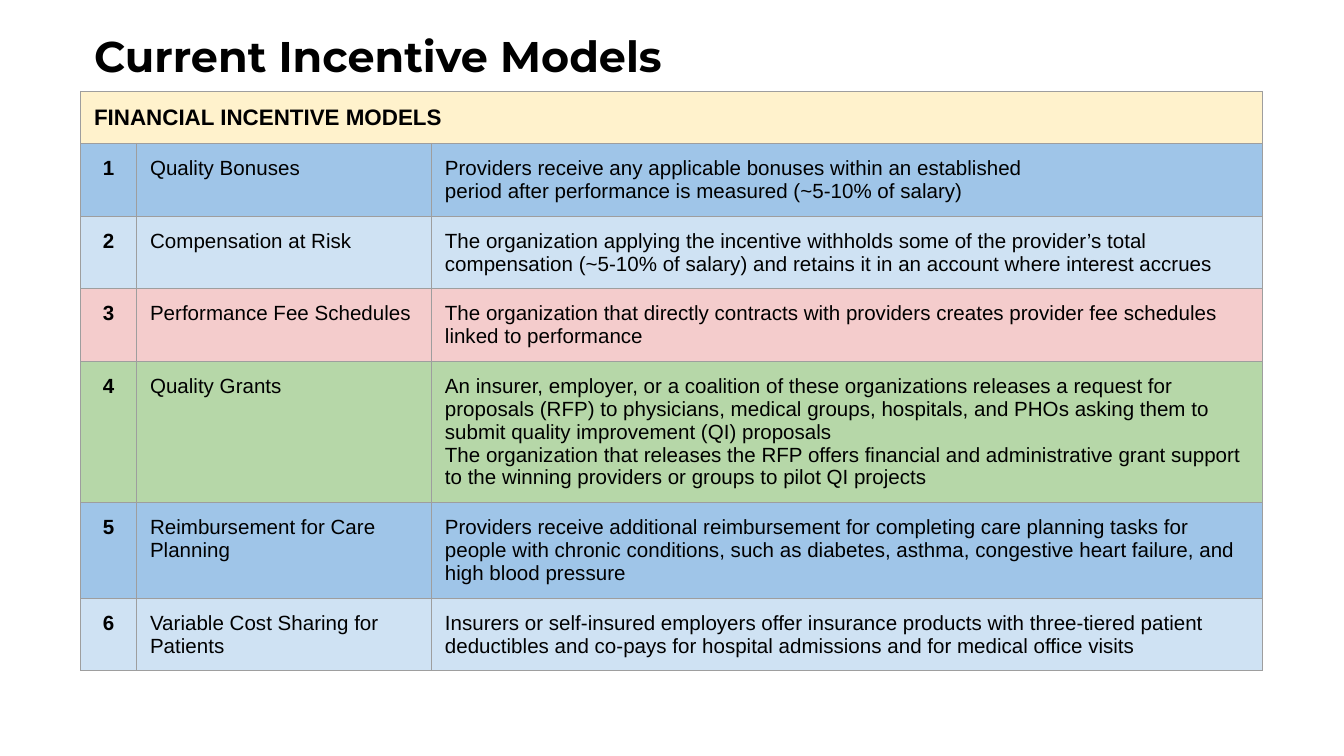
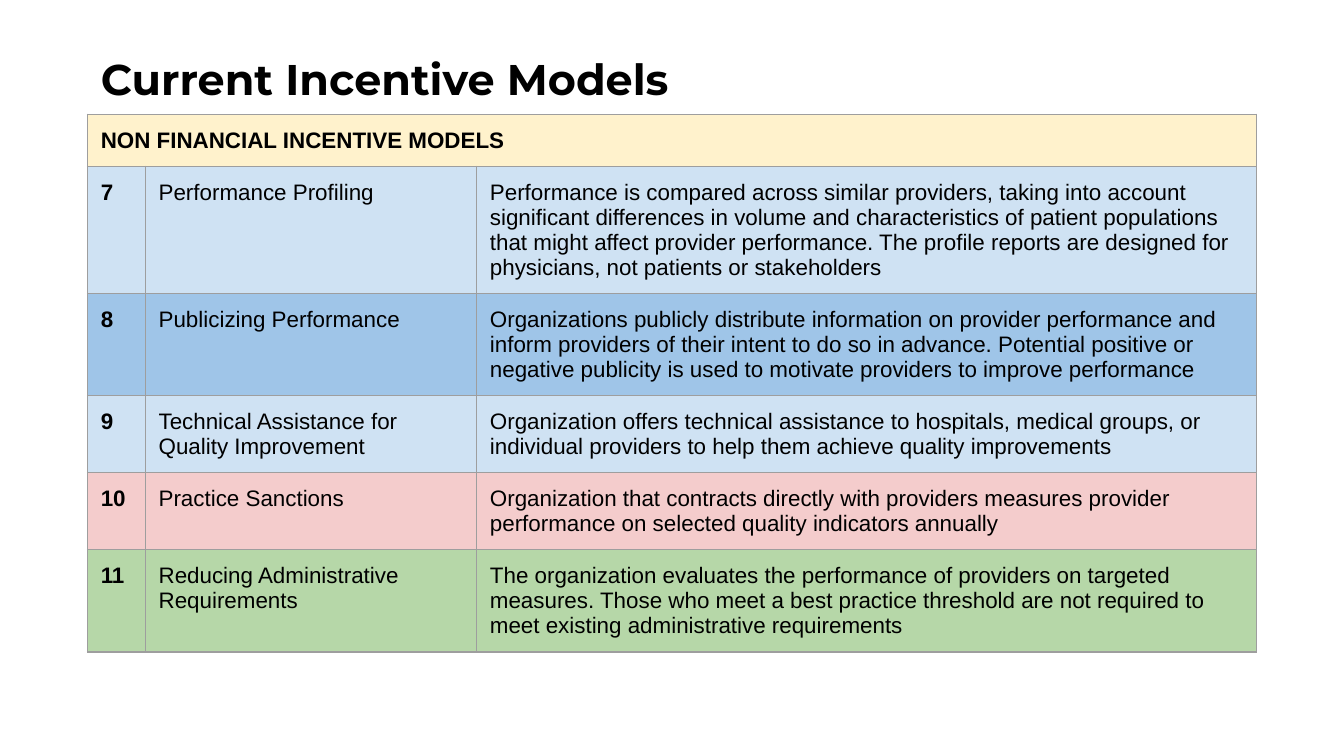
from lxml.etree import SubElement
from pptx import Presentation
from pptx.dml.color import RGBColor
from pptx.enum.text import MSO_ANCHOR, MSO_AUTO_SIZE, PP_ALIGN
from pptx.oxml.ns import qn
from pptx.util import Pt

BLACK = RGBColor(0x00, 0x00, 0x00)
CREAM = RGBColor(0xFF, 0xF2, 0xCC)
BLUE = RGBColor(0x9F, 0xC5, 0xE8)
PALE_BLUE = RGBColor(0xCF, 0xE2, 0xF3)
PINK = RGBColor(0xF4, 0xCC, 0xCC)
GREEN = RGBColor(0xB6, 0xD7, 0xA8)
BORDER_GREY = RGBColor(0x9E, 0x9E, 0x9E)

TITLE = "Current Incentive Models"
TITLE_FONT, BODY_FONT = "Montserrat", "Arial"
TITLE_SIZE, HEADING_SIZE = 23, 12
TITLE_WIDTH, TITLE_HEIGHT = 671, 40.3
HEADING_HEIGHT, ROW_HEIGHT = 24, 30
INSET = Pt(7.2)

FINANCIAL = [
    (BLUE, "Quality Bonuses",
     ["Providers receive any applicable bonuses within an established",
      "period after performance is measured (~5-10% of salary)"]),
    (PALE_BLUE, "Compensation at Risk",
     ["The organization applying the incentive withholds some of the provider’s total "
      "compensation (~5-10% of salary) and retains it in an account where interest accrues"]),
    (PINK, "Performance Fee Schedules",
     ["The organization that directly contracts with providers creates provider fee "
      "schedules linked to performance"]),
    (GREEN, "Quality Grants",
     ["An insurer, employer, or a coalition of these organizations releases a request for "
      "proposals (RFP) to physicians, medical groups, hospitals, and PHOs asking them to "
      "submit quality improvement (QI) proposals",
      "The organization that releases the RFP offers financial and administrative grant "
      "support to the winning providers or groups to pilot QI projects"]),
    (BLUE, "Reimbursement for Care Planning",
     ["Providers receive additional reimbursement for completing care planning tasks for "
      "people with chronic conditions, such as diabetes, asthma, congestive heart failure, "
      "and high blood pressure"]),
    (PALE_BLUE, "Variable Cost Sharing for Patients",
     ["Insurers or self-insured employers offer insurance products with three-tiered patient "
      "deductibles and co-pays for hospital admissions and for medical office visits"]),
]

NON_FINANCIAL = [
    (PALE_BLUE, "Performance Profiling",
     ["Performance is compared across similar providers, taking into account significant "
      "differences in volume and characteristics of patient populations that might affect "
      "provider performance. The profile reports are designed for physicians, not patients "
      "or stakeholders"]),
    (BLUE, "Publicizing Performance",
     ["Organizations publicly distribute information on provider performance and inform "
      "providers of their intent to do so in advance. Potential positive or negative "
      "publicity is used to motivate providers to improve performance"]),
    (PALE_BLUE, "Technical Assistance for Quality Improvement",
     ["Organization offers technical assistance to hospitals, medical groups, or individual "
      "providers to help them achieve quality improvements"]),
    (PINK, "Practice Sanctions",
     ["Organization that contracts directly with providers measures provider performance on "
      "selected quality indicators annually"]),
    (GREEN, "Reducing Administrative Requirements",
     ["The organization evaluates the performance of providers on targeted measures. Those "
      "who meet a best practice threshold are not required to meet existing administrative "
      "requirements"]),
]


def set_insets(holder):
    """Give a cell or text frame the shared inner margins."""
    holder.margin_left = holder.margin_right = INSET
    holder.margin_top = holder.margin_bottom = INSET


def write_paragraphs(frame, lines, font_name, size, bold, align=PP_ALIGN.LEFT):
    """Write each line as a one-run paragraph."""
    for index, line in enumerate(lines):
        paragraph = frame.add_paragraph() if index else frame.paragraphs[0]
        paragraph.alignment = align
        run = paragraph.add_run()
        run.text = line
        run.font.name = font_name
        run.font.size = Pt(size)
        run.font.bold = bold
        run.font.color.rgb = BLACK


def add_borders(cell):
    """Draw a thin grey line on all four sides of a cell."""
    properties = cell._tc.get_or_add_tcPr()
    for side in ("a:lnL", "a:lnR", "a:lnT", "a:lnB"):
        line = SubElement(properties, qn(side), w=str(Pt(0.75)))
        fill = SubElement(line, qn("a:solidFill"))
        SubElement(fill, qn("a:srgbClr"), val=str(BORDER_GREY))


def fill_cell(cell, lines, color, size, bold=False, align=PP_ALIGN.LEFT):
    """Style a table cell and write its text."""
    set_insets(cell)
    cell.vertical_anchor = MSO_ANCHOR.TOP
    cell.fill.solid()
    cell.fill.fore_color.rgb = color
    write_paragraphs(cell.text_frame, lines, BODY_FONT, size, bold, align)


def add_title(slide, left, top):
    """Place and format the slide title."""
    title = slide.shapes.title
    title.left, title.top = Pt(left), Pt(top)
    title.width, title.height = Pt(TITLE_WIDTH), Pt(TITLE_HEIGHT)
    frame = title.text_frame
    frame.word_wrap = True
    frame.auto_size = MSO_AUTO_SIZE.NONE
    frame.vertical_anchor = MSO_ANCHOR.TOP
    set_insets(frame)
    write_paragraphs(frame, [TITLE], TITLE_FONT, TITLE_SIZE, True)


def add_models_table(slide, left, top, height, widths, heading, models,
                     first_number, size, number_align):
    """Add a table of numbered models below a merged heading row."""
    frame = slide.shapes.add_table(len(models) + 1, len(widths), Pt(left), Pt(top),
                                   Pt(sum(widths)), Pt(height))
    table = frame.table
    table.first_row = table.horz_banding = False
    for column, width in zip(table.columns, widths):
        column.width = Pt(width)
    for index, row in enumerate(table.rows):
        row.height = Pt(ROW_HEIGHT if index else HEADING_HEIGHT)
    frame.height = Pt(height)
    for cell in table.iter_cells():
        add_borders(cell)

    table.cell(0, 0).merge(table.cell(0, len(widths) - 1))
    fill_cell(table.cell(0, 0), [heading], CREAM, HEADING_SIZE, True)
    for row, (color, model, description) in enumerate(models, 1):
        number = str(first_number + row - 1)
        fill_cell(table.cell(row, 0), [number], color, size, True, number_align)
        fill_cell(table.cell(row, 1), [model], color, size)
        fill_cell(table.cell(row, 2), description, color, size)


def add_models_slide(deck, left, top, *table_details):
    """Add a slide whose title sits directly on its table."""
    slide = deck.slides.add_slide(deck.slide_layouts[5])
    add_models_table(slide, left, top, *table_details)
    add_title(slide, left, top - TITLE_HEIGHT)


def main():
    """Build and save the presentation."""
    deck = Presentation()
    deck.slide_width, deck.slide_height = Pt(720), Pt(405)
    add_models_slide(deck, 43.2, 49, 326, (30, 158, 445), "FINANCIAL INCENTIVE MODELS",
                     FINANCIAL, 1, 11, PP_ALIGN.CENTER)
    add_models_slide(deck, 46.8, 61.2, 302.4, (31, 177.5, 418),
                     "NON FINANCIAL INCENTIVE MODELS",
                     NON_FINANCIAL, len(FINANCIAL) + 1, 12, PP_ALIGN.LEFT)
    deck.save("out.pptx")


main()
